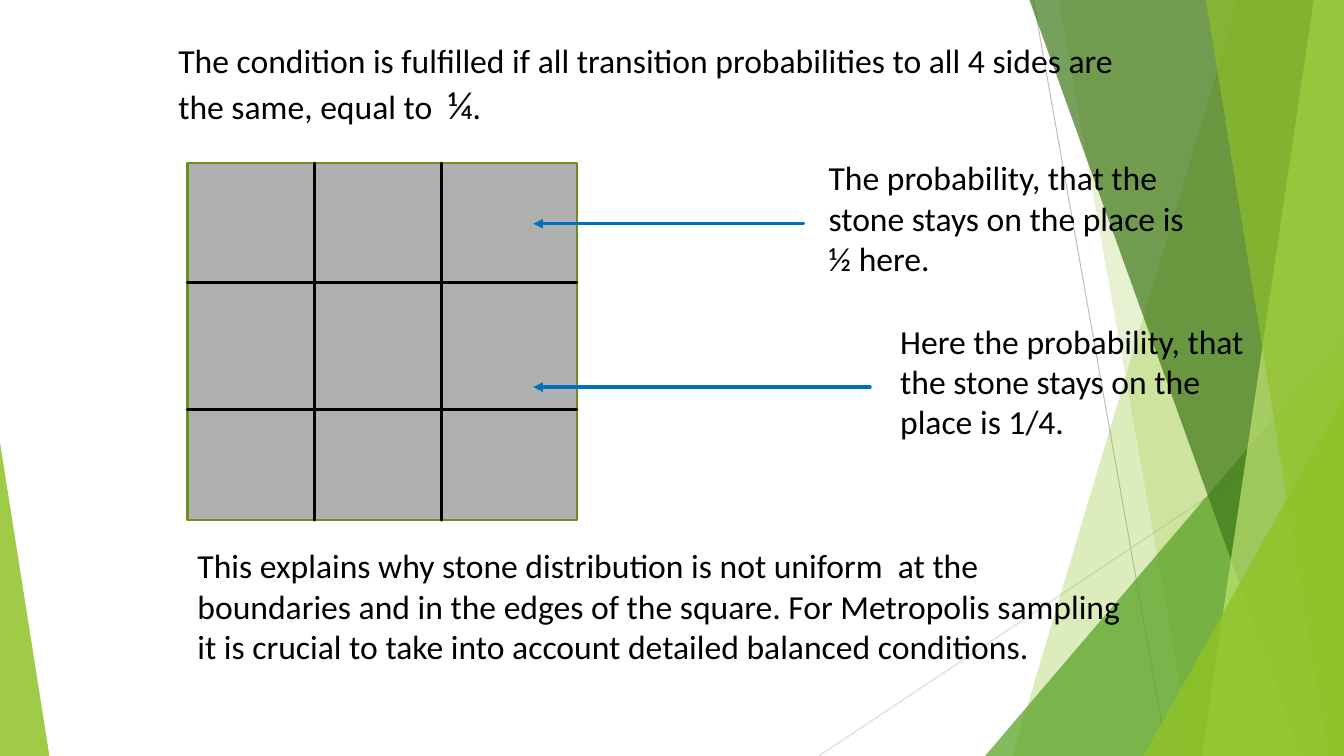
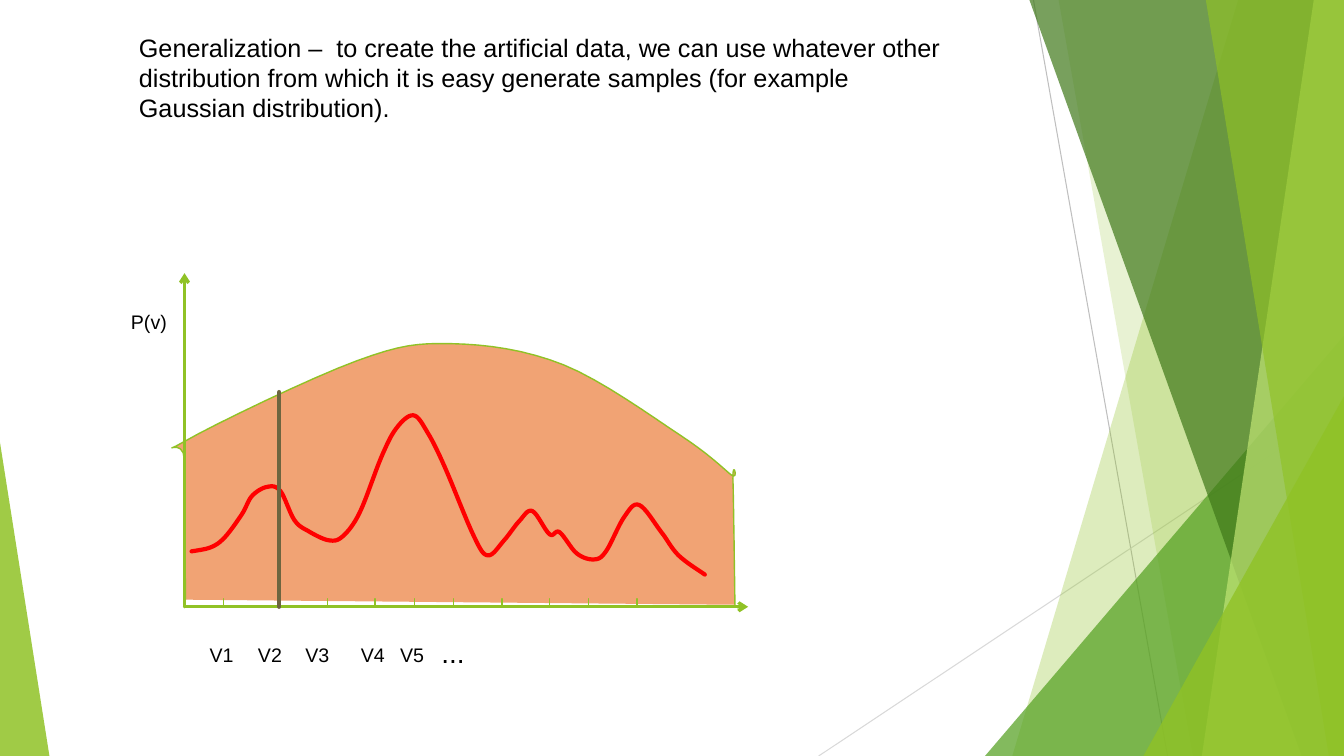
"""Two slides on Metropolis sampling: a stone grid and a general proposal distribution."""
from collections import namedtuple

from lxml import etree
from pptx import Presentation
from pptx import util as u
from pptx.dml.color import RGBColor
from pptx.enum import shapes, text
from pptx.oxml.ns import qn

BLACK = RGBColor(0x00, 0x00, 0x00)
GREEN = RGBColor(0x90, 0xC2, 0x26)
MID_GREEN = RGBColor(0x54, 0xA0, 0x21)
DARK_GREEN = RGBColor(0x3F, 0x78, 0x19)
LIGHT_GREEN = RGBColor(0xC0, 0xE4, 0x74)
BORDER_GREEN = RGBColor(0x6B, 0x90, 0x1C)
GREY = RGBColor(0xB0, 0xB0, 0xB0)
SILVER = RGBColor(0xBF, 0xBF, 0xBF)
PALE_GREY = RGBColor(0xD9, 0xD9, 0xD9)
BLUE = RGBColor(0x00, 0x70, 0xC0)
ORANGE = RGBColor(0xF1, 0xA3, 0x74)
RED = RGBColor(0xFF, 0x00, 0x00)
OLIVE = RGBColor(0x6D, 0x65, 0x40)
WIDTH, HEIGHT = 13.33, 7.5

CellNote = namedtuple("CellNote", "arrow_start arrow_y left top width words")
CELL_NOTES = [
    CellNote(7.97, 2.22, 8.12, 1.51, 4,
             "The probability, that the stone stays on the place is ½ here."),
    CellNote(8.63, 3.84, 8.83, 3.13, 3.64,
             "Here the probability, that the stone stays on the place is 1/4."),
]

PROPOSAL = {
    "left edge": [(1.84, 5.95), (1.83, 4.57), (1.83, 4.38)],
    "hill": [(3.54, 3.58), (4.48, 3.41), (5.59, 3.62), (6.75, 4.32)],
    "right edge": [(7.25, 4.71), (7.27, 4.75), (7.29, 6)],
}
TARGET = {
    "start": [(1.9, 5.47), (2.09, 5.43), (2.23, 5.33), (2.4, 5.1)],
    "first peak": [(2.5, 4.92), (2.65, 4.83), (2.78, 4.87), (2.92, 5.16)],
    "first valley": [(3.06, 5.27), (3.26, 5.36), (3.4, 5.32), (3.57, 5.08)],
    "main peak": [(3.78, 4.54), (3.93, 4.25), (4.1, 4.12), (4.24, 4.29), (4.41, 4.63)],
    "second valley": [(4.7, 5.32), (4.84, 5.51), (5, 5.36)],
    "third peak": [(5.15, 5.17), (5.28, 5.07)],
    "shoulder": [(5.45, 5.3), (5.55, 5.28), (5.72, 5.49)],
    "third valley": [(5.89, 5.55), (6.01, 5.47)],
    "last peak": [(6.19, 5.13), (6.34, 5.01), (6.56, 5.28)],
    "end": [(6.73, 5.51), (6.99, 5.7)],
}
TICKS = (2.22, 2.77, 3.25, 3.72, 4.11, 4.5, 4.98, 5.45, 5.84, 6.32)
LABEL_LEFTS = (1.98, 2.46, 2.93, 3.48, 3.87)


def bezier(start, first, second, end, t):
    """Return the point at fraction t of a cubic curve."""
    rest = 1 - t
    weights = (rest ** 3, 3 * t * rest ** 2, 3 * t ** 2 * rest, t ** 3)
    return tuple(sum(weight * value for weight, value in zip(weights, values))
                 for values in zip(start, first, second, end))


def smooth(features, steps=8):
    """Return points on a Catmull-Rom curve through the knots of all features."""
    knots = [knot for group in features.values() for knot in group]
    padded = [knots[0], *knots, knots[-1]]
    points = [knots[0]]
    for before, start, end, after in zip(padded, padded[1:], padded[2:], padded[3:]):
        first = [s + (e - b) / 6 for b, s, e in zip(before, start, end)]
        second = [e - (a - s) / 6 for s, e, a in zip(start, end, after)]
        points += [bezier(start, first, second, end, step / steps)
                   for step in range(1, steps + 1)]
    return points


class Deck:
    """Hold the shared style and the current slide."""

    def __init__(self):
        """Start a wide presentation."""
        self.presentation = Presentation()
        self.presentation.slide_width = u.Inches(WIDTH)
        self.presentation.slide_height = u.Inches(HEIGHT)
        self.layout = self.presentation.slide_layouts[6]

    def add_slide(self, font_name):
        """Add a blank slide and choose its font."""
        self.slide = self.presentation.slides.add_slide(self.layout)
        self.font_name = font_name

    def move_shapes_to_layout(self):
        """Hand the current slide's shapes to the layout, for all slides to share."""
        tree = self.layout.shapes.element
        for placeholder in list(self.layout.placeholders):
            tree.remove(placeholder.element)
        for shape in list(self.slide.shapes):
            tree.append(shape.element)

    def paint(self, shape, fill=None, opacity=100, line=None, weight=1):
        """Set fill, opacity and outline of a shape without shadow."""
        shape.shadow.inherit = False
        if fill is None:
            shape.fill.background()
        else:
            shape.fill.solid()
            shape.fill.fore_color.rgb = fill
            color = shape.element.spPr.find(qn("a:solidFill")).find(qn("a:srgbClr"))
            if opacity < 100:
                etree.SubElement(color, qn("a:alpha"), val=str(opacity * 1000))
        if line is None:
            shape.line.fill.background()
        else:
            self.stroke(shape, line, weight)

    def stroke(self, shape, color, weight):
        """Give a shape a rounded line and return its XML element."""
        shape.line.color.rgb = color
        shape.line.width = u.Pt(weight)
        outline = shape.element.spPr.find(qn("a:ln"))
        outline.set("cap", "rnd")
        etree.SubElement(outline, qn("a:round"))
        return outline

    def line(self, start, end, color, weight, arrow=None):
        """Draw a straight connector, with an optional arrowhead at its end."""
        connector = self.slide.shapes.add_connector(
            shapes.MSO_CONNECTOR.STRAIGHT, *(u.Inches(value) for value in (*start, *end)))
        outline = self.stroke(connector, color, weight)
        if arrow:
            etree.SubElement(outline, qn("a:tailEnd"), type=arrow)
        etree.SubElement(connector.element.spPr, qn("a:effectLst"))

    def freeform(self, points, close=False, **style):
        """Draw an outline through the points."""
        corners = [(u.Inches(x), u.Inches(y)) for x, y in points]
        builder = self.slide.shapes.build_freeform(*corners[0])
        builder.add_line_segments(corners[1:], close=close)
        self.paint(builder.convert_to_shape(), **style)

    def preset(self, kind, left, top, width, height, **style):
        """Draw a preset shape."""
        shape = self.slide.shapes.add_shape(
            kind, u.Inches(left), u.Inches(top), u.Inches(width), u.Inches(height))
        self.paint(shape, **style)
        return shape

    def facet(self, top_x, bottom_x, color, opacity):
        """Draw a translucent band from a slanted left edge to the slide's right edge."""
        corners = [(top_x, 0), (WIDTH, 0), (WIDTH, HEIGHT), (bottom_x, HEIGHT)]
        self.freeform(corners, close=True, fill=color, opacity=opacity)

    def triangle(self, left, top, width, apex, color, opacity):
        """Draw a translucent triangle standing on the slide's bottom edge."""
        shape = self.preset(shapes.MSO_SHAPE.ISOSCELES_TRIANGLE, left, top, width,
                            HEIGHT - top, fill=color, opacity=opacity)
        shape.adjustments[0] = apex

    def text(self, left, top, width, height, size, *parts):
        """Add a text box; a part is a string or a (string, size) pair."""
        box = self.slide.shapes.add_textbox(
            u.Inches(left), u.Inches(top), u.Inches(width), u.Inches(height))
        frame = box.text_frame
        frame_format = {"word_wrap": True, "auto_size": text.MSO_AUTO_SIZE.SHAPE_TO_FIT_TEXT}
        for name, value in frame_format.items():
            setattr(frame, name, value)
        for part in parts:
            words, points = part if isinstance(part, tuple) else (part, size)
            run = frame.paragraphs[0].add_run()
            run.text = words
            run.font.color.rgb = BLACK
            for name, value in {"name": self.font_name, "size": u.Pt(points)}.items():
                setattr(run.font, name, value)


def draw_backdrop(deck):
    """Draw the green facets from back to front and share them."""
    deck.line((10.25, 0), (11.58, HEIGHT), SILVER, 0.75)
    deck.line((WIDTH, 4.03), (8.12, HEIGHT), PALE_GREY, 0.75)
    deck.facet(12.28, 10.04, GREEN, 30)
    deck.facet(10.5, 11.83, GREEN, 20)
    deck.triangle(9.77, 3.33, 3.56, 1, MID_GREEN, 72)
    deck.facet(10.21, 12.91, DARK_GREEN, 70)
    deck.facet(13.03, 11.92, LIGHT_GREEN, 70)
    deck.facet(11.96, 13.18, GREEN, 65)
    deck.triangle(11.34, 3.93, 1.99, 1, GREEN, 80)
    deck.triangle(0, 4.39, 0.49, 0, GREEN, 85)
    deck.move_shapes_to_layout()


def draw_stone_grid(deck):
    """Draw the square and the lines that cut it into nine cells."""
    left, top, width, height = 1.86, 1.62, 3.86, 3.54
    right, bottom = left + width, top + height
    pitch, first_row = 1.26, 1.18
    deck.preset(shapes.MSO_SHAPE.RECTANGLE, left, top, width, height,
                fill=GREY, line=BORDER_GREEN, weight=1.5)
    for index in range(2):
        x = left + pitch * (index + 1)
        y = top + first_row + pitch * index
        deck.line((x, top), (x, bottom), BLACK, 2.25)
        deck.line((right, y), (left, y), BLACK, 2.25)


def build_grid_slide(deck):
    """Show the stone grid with its two annotated cells."""
    deck.text(1.67, 0.35, 9.88, 0.98, 24,
              "The condition is fulfilled if all transition probabilities to all 4 sides "
              "are the same, equal to  ", ("¼", 28), ".")
    draw_stone_grid(deck)
    arrow_tip = 5.29
    for note in CELL_NOTES:
        deck.line((note.arrow_start, note.arrow_y), (arrow_tip, note.arrow_y),
                  BLUE, 2.25, "triangle")
        deck.text(note.left, note.top, note.width, 1.31, 24, note.words)
    deck.text(1.86, 5.36, 9.45, 1.31, 24,
              "This explains why stone distribution is not uniform  at the boundaries and in "
              "the edges of the square. For Metropolis sampling it is crucial to take into "
              "account detailed balanced conditions.")


def draw_axes(deck, origin):
    """Draw both axes with the ticks and labels of the values."""
    origin_x, base = origin
    tick_height = 0.08
    for end in ((origin_x, 2.71), (7.42, base)):
        deck.line(origin, end, GREEN, 2.25, "arrow")
    for x in TICKS:
        deck.line((x, base - tick_height), (x, base), GREEN, 1)
    for number, left in enumerate(LABEL_LEFTS, start=1):
        deck.text(left, 6.33, 0.55, 0.34, 14, f"V{number}")
    deck.text(4.28, 6.26, 0.6, 0.44, 20, "...")
    deck.text(1.2, 3.03, 0.71, 0.34, 14, "P(v)")


def build_distribution_slide(deck):
    """Show a target density under a wider proposal distribution."""
    origin = (1.83, 6.02)
    sample_x = TICKS[1]
    deck.text(1.28, 0.27, 8.27, 1.01, 18,
              "Generalization –  to create the artificial data, we can use whatever other "
              "distribution from which it is easy generate samples (for example Gaussian "
              "distribution).")
    deck.freeform(smooth(PROPOSAL), fill=ORANGE, line=GREEN)
    draw_axes(deck, origin)
    deck.freeform(smooth(TARGET), line=RED, weight=3)
    deck.line((sample_x, origin[1]), (sample_x, 3.89), OLIVE, 3)


def main():
    """Build both slides and save them."""
    deck = Deck()
    deck.add_slide("Calibri")
    draw_backdrop(deck)
    build_grid_slide(deck)
    deck.add_slide("Arial")
    build_distribution_slide(deck)
    deck.presentation.save("out.pptx")


if __name__ == "__main__":
    main()
